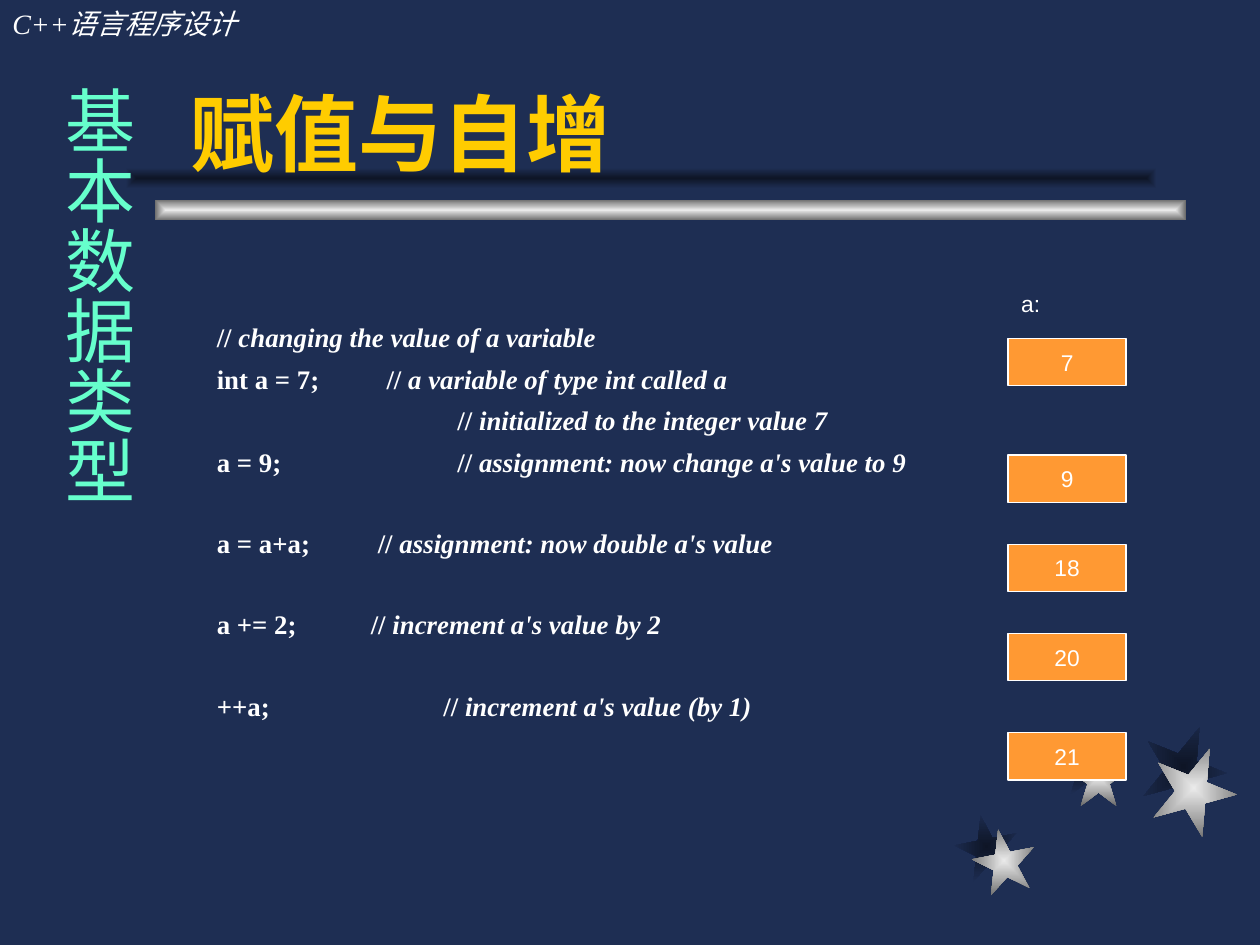
from lxml import etree
from pptx import Presentation
from pptx import util as u
from pptx.dml.color import RGBColor
from pptx.enum import shapes, text
from pptx.oxml import ns

Pt = u.Pt
NAVY = RGBColor(0x1E, 0x2E, 0x53)
SHADOW = RGBColor(0x0E, 0x15, 0x26)
SILVER = RGBColor(0xEA, 0xEA, 0xEA)
GREY = RGBColor(0x6C, 0x6C, 0x6C)
WHITE = RGBColor(0xFF, 0xFF, 0xFF)
GOLD = RGBColor(0xFF, 0xCC, 0x00)
ORANGE = RGBColor(0xFF, 0x99, 0x33)
AQUA = RGBColor(0x66, 0xFF, 0xCC)
SERIF, SANS, CJK = "Times New Roman", "Arial", "Noto Sans CJK SC"

METAL = (SILVER, GREY)
SHADE = (SHADOW, NAVY)

# (left, top, size, rotation)
STARS = {
    SHADE: [(545.8, 465.8, 36, -11), (605.5, 421.2, 33, 0), (652.3, 414, 48.2, 22)],
    METAL: [(555.8, 473.8, 36, -11), (611.3, 427.7, 33, 0), (658.1, 426.2, 48.2, 22)],
}

LINE_GAP = 5.3
SECTION_GAP = 28.1
# (space before, statement, comment position, comment)
CODE = [
    (0, "", 0, "changing the value of a variable"),
    (LINE_GAP, "int a = 7;", 97, "a variable of type int called a"),
    (LINE_GAP, "", 137.5, "initialized to the integer value 7"),
    (LINE_GAP, "a = 9;", 137.5, "assignment: now change a's value to 9"),
    (SECTION_GAP, "a = a+a;", 92, "assignment: now double a's value"),
    (SECTION_GAP, "a += 2;", 88, "increment a's value by 2"),
    (SECTION_GAP, "++a;", 129.5, "increment a's value (by 1)"),
]

VALUES = [("7", 193.5), ("9", 260), ("18", 311), ("20", 362), ("21", 418.7)]


class Painter:
    def __init__(self, page):
        self.page = page

    def span(self, para, words, size, font, color, bold=False, italic=False):
        span = para.add_run()
        span.text = words
        span.font.size = Pt(size)
        span.font.bold = bold
        span.font.italic = italic
        span.font.color.rgb = color
        span.font.name = font
        east_asian = etree.SubElement(span.font._element, ns.qn("a:ea"))
        east_asian.set("typeface", CJK)

    def text_box(self, left, top, width, height, anchor=text.MSO_ANCHOR.TOP):
        box = self.page.shapes.add_textbox(Pt(left), Pt(top), Pt(width), Pt(height))
        box.text_frame.word_wrap = True
        box.text_frame.vertical_anchor = anchor
        return box.text_frame

    def shape(self, kind, left, top, width, height):
        shape = self.page.shapes.add_shape(kind, Pt(left), Pt(top), Pt(width), Pt(height))
        shape.shadow.inherit = False
        return shape

    def glowing(self, kind, left, top, width, height, colors, rotation=0):
        """Add a borderless shape shaded from its centre to its edges."""
        shape = self.shape(kind, left, top, width, height)
        shape.rotation = rotation
        shape.line.fill.background()
        shape.fill.gradient()
        for stop, color in zip(shape.fill.gradient_stops, colors):
            stop.color.rgb = color
        gradient = shape._element.spPr.find(ns.qn("a:gradFill"))
        gradient.remove(gradient.find(ns.qn("a:lin")))
        rings = etree.SubElement(gradient, ns.qn("a:path"), {"path": "rect"})
        etree.SubElement(rings, ns.qn("a:fillToRect"), dict.fromkeys("ltrb", "50000"))

    def value_box(self, value, top):
        box = self.shape(shapes.MSO_SHAPE.RECTANGLE, 576, top, 67.5, 27)
        box.fill.solid()
        box.fill.fore_color.rgb = ORANGE
        box.line.color.rgb = WHITE
        box.line.width = Pt(0.75)
        box.text_frame.vertical_anchor = text.MSO_ANCHOR.MIDDLE
        para = box.text_frame.paragraphs[0]
        para.alignment = text.PP_ALIGN.CENTER
        self.span(para, value, 13, SANS, WHITE)

    def vertical_label(self, words):
        frame = self.text_box(21.6, 41.8, 62, 450)
        frame.margin_left = frame.margin_right = Pt(3.6)
        frame.margin_top = frame.margin_bottom = Pt(7.2)
        frame._txBody.bodyPr.set("vert", "eaVert")
        para = frame.paragraphs[0]
        para.alignment = text.PP_ALIGN.CENTER
        self.span(para, words, 40, CJK, AQUA)

    def code(self, lines):
        frame = self.text_box(116.8, 180, 469.5, 243)
        for index, (gap, statement, stop, comment) in enumerate(lines):
            para = frame.add_paragraph() if index else frame.paragraphs[0]
            para.space_before = Pt(gap)
            if stop:
                tabs = etree.SubElement(para._p.get_or_add_pPr(), ns.qn("a:tabLst"))
                etree.SubElement(tabs, ns.qn("a:tab"), pos=str(int(Pt(stop))), algn="l")
                statement += "\t"
            self.span(para, statement + "// ", 15.3, SERIF, WHITE, bold=True)
            self.span(para, comment, 15.3, SERIF, WHITE, bold=True, italic=True)


def main():
    deck = Presentation()
    deck.slide_width, deck.slide_height = Pt(720), Pt(540)
    page = deck.slides.add_slide(deck.slide_layouts[6])
    page.background.fill.solid()
    page.background.fill.fore_color.rgb = NAVY
    painter = Painter(page)

    for colors, stars in STARS.items():
        for left, top, size, rotation in stars:
            painter.glowing(shapes.MSO_SHAPE.STAR_5_POINT, left, top, size, size,
                            colors, rotation)
    for left, top, colors in [(88.6, 114, METAL), (72, 95.8, SHADE)]:
        painter.glowing(shapes.MSO_SHAPE.RECTANGLE, left, top, 589, 12, colors)

    header = painter.text_box(0, 0, 221.8, 26.6)
    painter.span(header.paragraphs[0], "C++语言程序设计", 16, SERIF, WHITE, italic=True)
    title = painter.text_box(102, 18, 564, 90, text.MSO_ANCHOR.BOTTOM)
    painter.span(title.paragraphs[0], "赋值与自增", 48, CJK, GOLD, bold=True)

    painter.code(CODE)
    for value, top in VALUES:
        painter.value_box(value, top)
    variable = painter.text_box(576.5, 162, 36, 23)
    painter.span(variable.paragraphs[0], "a:", 13, SANS, WHITE)
    painter.vertical_label("基本数据类型")

    deck.save("out.pptx")


if __name__ == "__main__":
    main()
